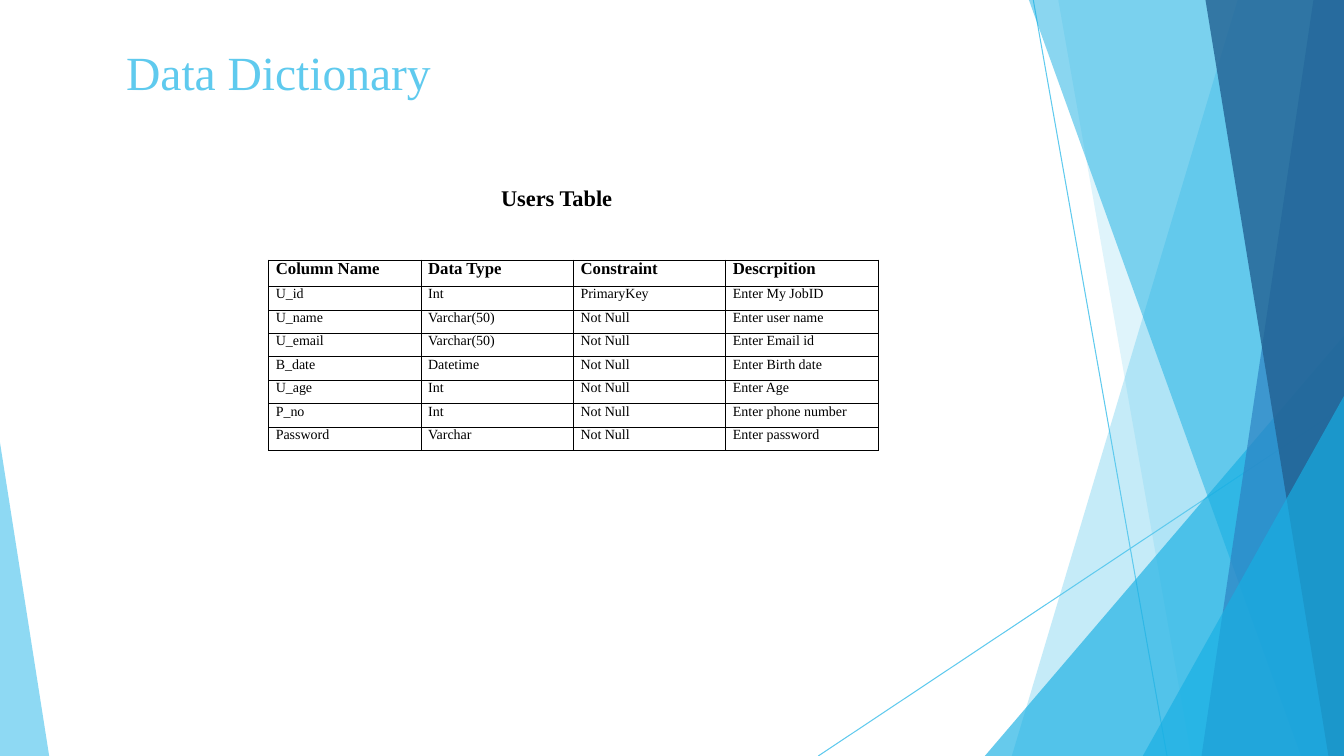
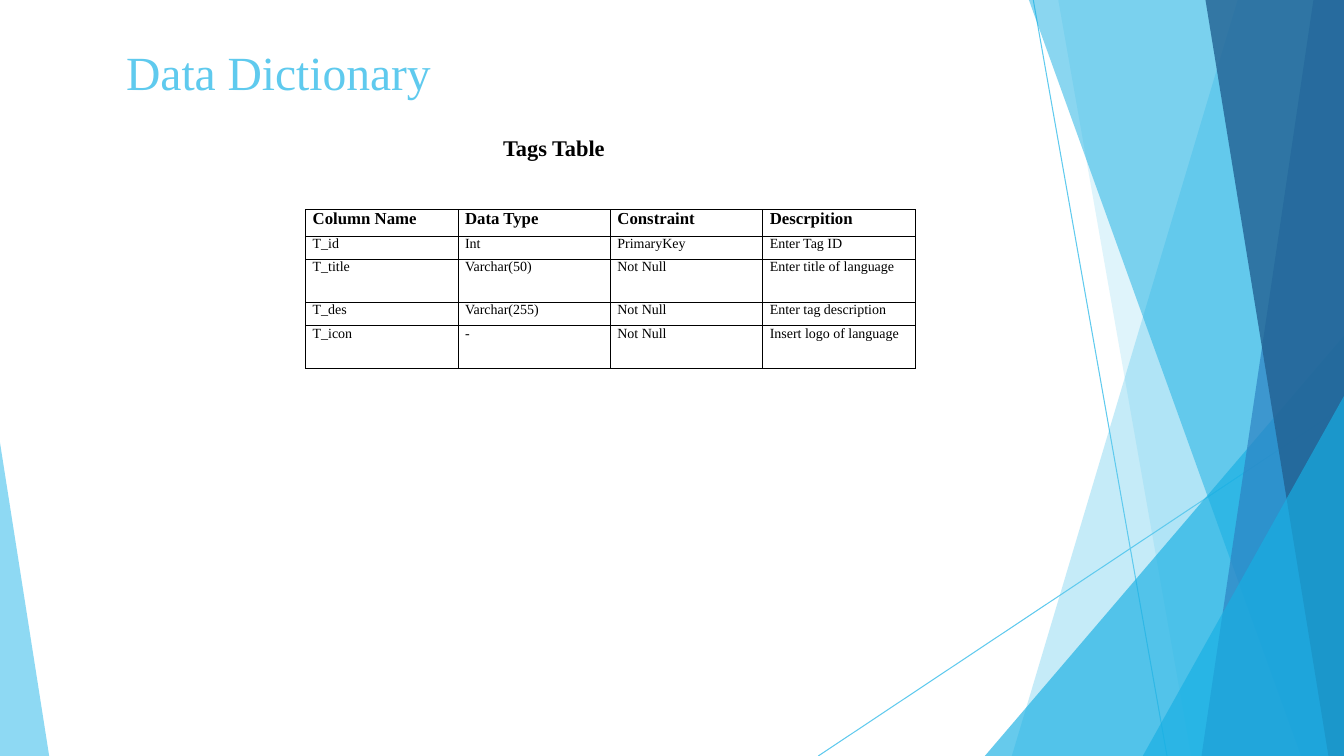
from dataclasses import dataclass

from lxml.etree import SubElement
from pptx import Presentation
from pptx.dml.color import RGBColor
from pptx.enum.text import PP_ALIGN
from pptx.oxml.ns import qn
from pptx.util import Cm, Pt

WIDE, HIGH = 33.87, 19.05


@dataclass(frozen=True)
class Theme:
    font: str = "Times New Roman"
    sky: str = "5FCAEE"
    cyan: str = "17AFE3"
    blue: str = "2D83C3"
    navy: str = "226192"
    ink: str = "000000"
    title: float = 34
    caption: float = 16
    head: float = 12
    body: float = 10
    rule: float = 0.75
    border: float = 0.58


THEME = Theme()

RAYS = [((26.04, 0), (29.41, HIGH)), ((WIDE, 10.24), (20.62, HIGH))]

# Colour, opacity in percent, corners
EDGE = [(WIDE, HIGH), (WIDE, 0)]
PANELS = [
    (THEME.sky, 36, [(31.19, 0), (25.5, HIGH), *EDGE]),
    (THEME.sky, 20, [(26.67, 0), (30.02, HIGH), *EDGE]),
    (THEME.cyan, 66, [(WIDE, 8.46), (24.82, HIGH), (WIDE, HIGH)]),
    (THEME.cyan, 50, [(25.93, 0), (32.79, HIGH), *EDGE]),
    (THEME.blue, 70, [(33.1, 0), (30.28, HIGH), *EDGE]),
    (THEME.navy, 80, [(30.38, 0), (33.48, HIGH), *EDGE]),
    (THEME.cyan, 66, [(WIDE, 9.98), (28.8, HIGH), (WIDE, HIGH)]),
    (THEME.sky, 70, [(0, 11.15), (0, HIGH), (1.24, HIGH)]),
]

HEADS = ["Column Name", "Data Type", "Constraint", "Descrpition"]
COL, HEAD, ROW, TALL = 3.84, 0.67, 0.59, 1.08

USERS = [
    ["U_id", "Int", "PrimaryKey", "Enter My JobID"],
    ["U_name", "Varchar(50)", "Not Null", "Enter user name"],
    ["U_email", "Varchar(50)", "Not Null", "Enter Email id"],
    ["B_date", "Datetime", "Not Null", "Enter Birth date"],
    ["U_age", "Int", "Not Null", "Enter Age"],
    ["P_no", "Int", "Not Null", "Enter phone number"],
    ["Password", "Varchar", "Not Null", "Enter password"],
]
TAGS = [
    ["T_id", "Int", "PrimaryKey", "Enter Tag ID"],
    ["T_title", "Varchar(50)", "Not Null", "Enter title of language"],
    ["T_des", "Varchar(255)", "Not Null", "Enter tag description"],
    ["T_icon", "-", "Not Null", "Insert logo of language"],
]


class Deck:
    def __init__(self, theme):
        self.theme = theme
        self.show = Presentation()
        self.show.slide_width, self.show.slide_height = Cm(WIDE), Cm(HIGH)
        self.slide = None

    def page(self, title):
        """Start a slide with the shared backdrop and title."""
        self.slide = self.show.slides.add_slide(self.show.slide_layouts[6])
        for start, end in RAYS:
            self.ray(start, end)
        for color, alpha, points in PANELS:
            self.panel(color, alpha, points)
        self.text(title, (3.18, 1.07, 9.07, 1.5), self.theme.title,
                  self.theme.sky)

    def ray(self, start, end):
        line = self.slide.shapes.add_connector(
            1, *(Cm(n) for n in (*start, *end)))
        line.line.color.rgb = RGBColor.from_string(self.theme.sky)
        line.line.width = Pt(self.theme.rule)
        SubElement(line._element.spPr, qn("a:effectLst"))

    def panel(self, color, alpha, points):
        first, *rest = [(Cm(x), Cm(y)) for x, y in points]
        pen = self.slide.shapes.build_freeform(*first)
        pen.add_line_segments(rest, close=True)
        shape = pen.convert_to_shape()
        shape.shadow.inherit = False
        shape.line.fill.background()
        shape.fill.solid()
        shape.fill.fore_color.rgb = RGBColor.from_string(color)
        tint = shape._element.spPr.find(".//" + qn("a:srgbClr"))
        SubElement(tint, qn("a:alpha"), val=str(alpha * 1000))

    def label(self, para, text, size, color, bold=False):
        """Put styled text in a paragraph."""
        para.text = text
        font = para.font
        font.name, font.size, font.bold = self.theme.font, Pt(size), bold
        font.color.rgb = RGBColor.from_string(color)

    def text(self, text, box, size, color, bold=False, align=PP_ALIGN.LEFT):
        frame = self.slide.shapes.add_textbox(*map(Cm, box)).text_frame
        frame.word_wrap = True
        frame.margin_left = frame.margin_right = 0
        frame.margin_top = frame.margin_bottom = 0
        para = frame.paragraphs[0]
        para.alignment = align
        self.label(para, text, size, color, bold)

    def caption(self, text, left, top):
        self.text(text, (left, top, 5.92, 0.69), self.theme.caption,
                  self.theme.ink, True, PP_ALIGN.CENTER)

    def table(self, rows, left, top, tall=()):
        """Draw a header and rows; tall holds the indexes of deeper rows."""
        highs = [HEAD] + [TALL if i in tall else ROW for i in range(len(rows))]
        table = self.slide.shapes.add_table(
            len(highs), len(HEADS), Cm(left), Cm(top),
            Cm(COL * len(HEADS)), Cm(sum(highs))).table
        table.first_row = table.horz_banding = False
        for col in table.columns:
            col.width = Cm(COL)
        for i, (row, high, words) in enumerate(
                zip(table.rows, highs, [HEADS, *rows])):
            row.height = Cm(high)
            size = self.theme.body if i else self.theme.head
            for cell, word in zip(row.cells, words):
                self.cell(cell, word, size, i == 0)

    def cell(self, cell, text, size, bold):
        cell.margin_left = Cm(0.18)
        cell.margin_right = cell.margin_top = cell.margin_bottom = 0
        self.label(cell.text_frame.paragraphs[0], text, size,
                   self.theme.ink, bold)
        props = cell._tc.get_or_add_tcPr()
        for side in ("lnL", "lnR", "lnT", "lnB"):
            line = SubElement(props, qn("a:" + side),
                              w=str(Pt(self.theme.border)))
            fill = SubElement(line, qn("a:solidFill"))
            SubElement(fill, qn("a:srgbClr"), val=self.theme.ink)
        cell.fill.background()


def main():
    deck = Deck(THEME)
    deck.page("Data Dictionary")
    deck.caption("Users Table", 11.07, 4.65)
    deck.table(USERS, 6.77, 6.55)

    deck.page("Data Dictionary")
    deck.caption("Tags Table", 11, 3.38)
    deck.table(TAGS, 7.7, 5.28, tall=(1, 3))
    deck.show.save("out.pptx")


if __name__ == "__main__":
    main()
